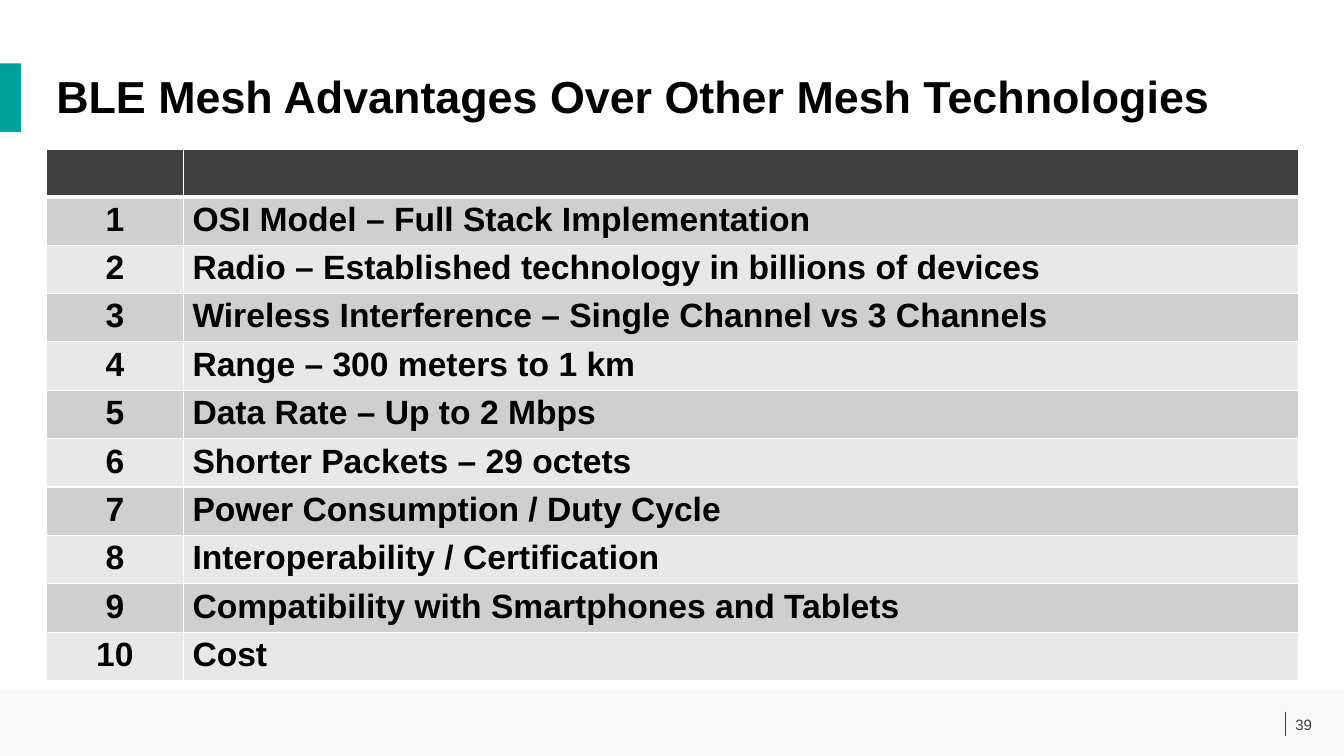
import dataclasses
from typing import Any

import lxml.etree
import pptx
import pptx.dml.color
import pptx.enum.shapes
import pptx.enum.text
import pptx.oxml.ns
import pptx.util

Inches = pptx.util.Inches
RGBColor = pptx.dml.color.RGBColor
Align = pptx.enum.text.PP_ALIGN
Anchor = pptx.enum.text.MSO_ANCHOR
qn = pptx.oxml.ns.qn

BLACK = RGBColor(0x00, 0x00, 0x00)
WHITE = RGBColor(0xFF, 0xFF, 0xFF)
CHARCOAL = RGBColor(0x3F, 0x3F, 0x3F)
TEAL = RGBColor(0x00, 0xA1, 0x9B)
FOOTER_GRAY = RGBColor(0xF9, 0xF9, 0xF9)
BANDS = (RGBColor(0xCF, 0xCF, 0xCF), RGBColor(0xE8, 0xE8, 0xE8))

ADVANTAGES = (
    "OSI Model – Full Stack Implementation",
    "Radio – Established technology in billions of devices",
    "Wireless Interference – Single Channel vs 3 Channels",
    "Range – 300 meters to 1 km",
    "Data Rate – Up to 2 Mbps",
    "Shorter Packets – 29 octets",
    "Power Consumption / Duty Cycle",
    "Interoperability / Certification",
    "Compatibility with Smartphones and Tablets",
    "Cost",
)
COLUMN_WIDTHS = (1.36, 11.06)
TABLE_HEIGHT = 5.19
CELL_FORMAT = {
    "margin_left": Inches(0.09),
    "margin_right": Inches(0.09),
    "margin_top": Inches(0.04),
    "margin_bottom": Inches(0.04),
}


@dataclasses.dataclass(frozen=True)
class Frame:
    left: float
    top: float
    width: float
    height: float

    def lengths(self) -> tuple[int, ...]:
        return tuple(Inches(side) for side in dataclasses.astuple(self))


@dataclasses.dataclass(frozen=True)
class Panel:
    frame: Frame
    color: RGBColor


@dataclasses.dataclass(frozen=True)
class Label:
    frame: Frame
    text: str
    size: float
    color: RGBColor
    bold: bool
    anchor: Any
    line_spacing: float


PANELS = (
    Panel(Frame(0, 6.85, 13.33, 0.65), FOOTER_GRAY),
    Panel(Frame(0, 0.63, 0.21, 0.68), TEAL),
)
LABELS = (
    Label(Frame(12.75, 7.04, 0.69, 0.3), "39", 10.7, CHARCOAL, False, Anchor.MIDDLE, 1.0),
    Label(Frame(0.46, 0.69, 12.42, 0.61), "BLE Mesh Advantages Over Other Mesh Technologies",
          32, BLACK, True, Anchor.TOP, 0.9),
)


def apply_format(target: Any, values: dict[str, Any]) -> None:
    for name, value in values.items():
        setattr(target, name, value)


def write_text(para: Any, text: str, size: float, color: RGBColor, bold: bool) -> None:
    span = para.add_run()
    span.text = text
    apply_format(span.font, {"name": "Arial", "size": pptx.util.Pt(size), "bold": bold})
    span.font.color.rgb = color


def draw_panel(page: Any, panel: Panel) -> None:
    shape = page.shapes.add_shape(
        pptx.enum.shapes.MSO_SHAPE.RECTANGLE, *panel.frame.lengths())
    shape.shadow.inherit = False
    shape.fill.solid()
    shape.fill.fore_color.rgb = panel.color
    shape.line.fill.background()


def draw_label(page: Any, label: Label) -> None:
    box = page.shapes.add_textbox(*label.frame.lengths())
    apply_format(box.text_frame, {"word_wrap": True, "vertical_anchor": label.anchor})
    para = box.text_frame.paragraphs[0]
    para.line_spacing = label.line_spacing
    write_text(para, label.text, label.size, label.color, label.bold)


def draw_footer_rule(page: Any) -> None:
    rule = page.shapes.add_connector(
        pptx.enum.shapes.MSO_CONNECTOR.STRAIGHT,
        Inches(12.75), Inches(7.06), Inches(12.75), Inches(7.3))
    rule.line.color.rgb = CHARCOAL
    rule.line.width = pptx.util.Pt(0.5)
    lxml.etree.SubElement(rule._element.spPr, qn("a:effectLst"))


def style_cell(cell: Any, color: RGBColor, top: float, bottom: float) -> None:
    apply_format(cell, CELL_FORMAT)
    properties = cell._tc.get_or_add_tcPr()
    for side, points in {"L": 1, "R": 1, "T": top, "B": bottom}.items():
        border = lxml.etree.SubElement(
            properties, qn(f"a:ln{side}"), w=str(pptx.util.Pt(points)))
        fill = lxml.etree.SubElement(border, qn("a:solidFill"))
        lxml.etree.SubElement(fill, qn("a:srgbClr"), val=str(WHITE))
    cell.fill.solid()
    cell.fill.fore_color.rgb = color


def draw_advantages(page: Any) -> None:
    row_count = len(ADVANTAGES) + 1
    frame = Frame(0.46, 1.48, sum(COLUMN_WIDTHS), TABLE_HEIGHT)
    table = page.shapes.add_table(row_count, len(COLUMN_WIDTHS), *frame.lengths()).table
    table.horz_banding = False
    for column, width in zip(table.columns, COLUMN_WIDTHS):
        column.width = Inches(width)
    for row in table.rows:
        row.height = Inches(TABLE_HEIGHT / row_count)
    for cell in table.rows[0].cells:
        style_cell(cell, CHARCOAL, 1, 3)
    for number, advantage in enumerate(ADVANTAGES, 1):
        entries = ((str(number), Align.CENTER), (advantage, Align.LEFT))
        for cell, (text, alignment) in zip(table.rows[number].cells, entries):
            style_cell(cell, BANDS[(number - 1) % 2], 3 if number == 1 else 1, 1)
            para = cell.text_frame.paragraphs[0]
            para.alignment = alignment
            write_text(para, text, 24, BLACK, True)


def main() -> None:
    deck = pptx.Presentation()
    apply_format(deck, {"slide_width": Inches(13.33), "slide_height": Inches(7.5)})
    page = deck.slides.add_slide(deck.slide_layouts[6])
    for panel in PANELS:
        draw_panel(page, panel)
    draw_footer_rule(page)
    for label in LABELS:
        draw_label(page, label)
    draw_advantages(page)
    deck.save("out.pptx")


if __name__ == "__main__":
    main()
